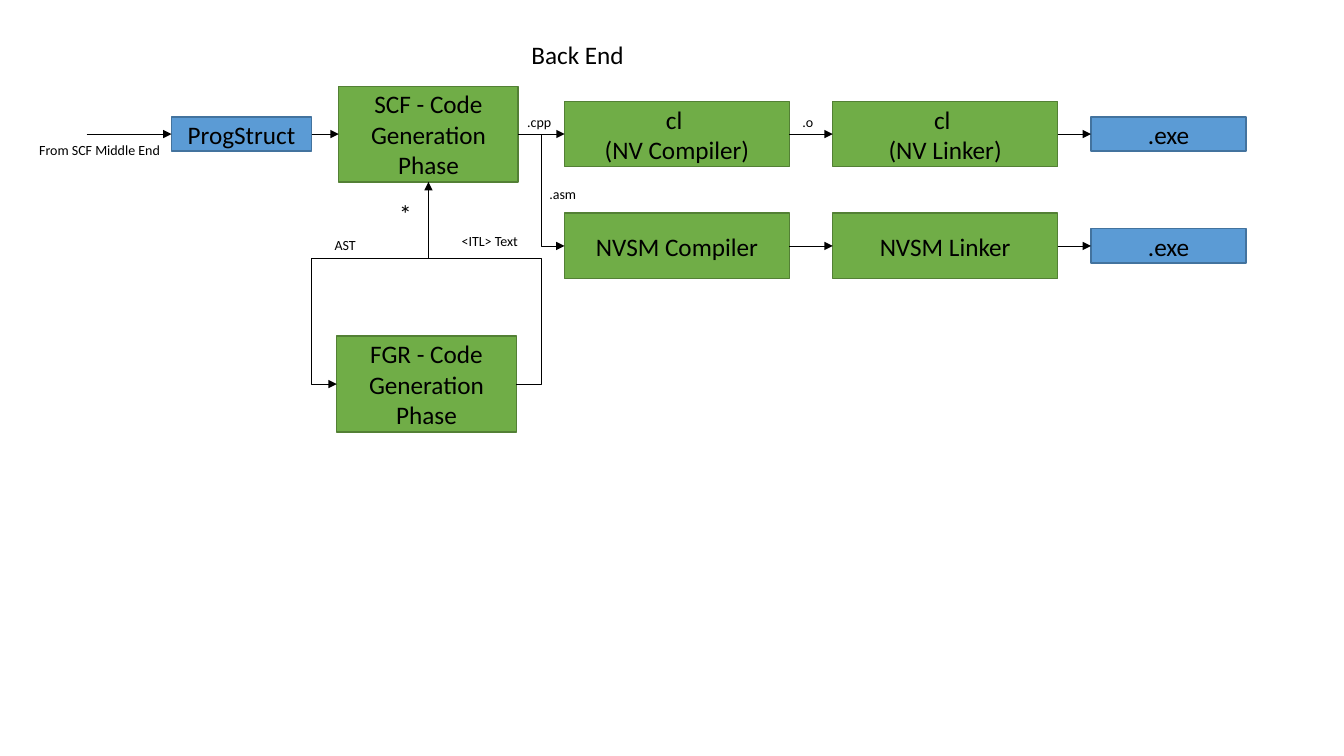
from dataclasses import dataclass
from pptx import Presentation, util as u
from pptx.dml.color import RGBColor
from pptx.enum import shapes, text
from pptx.oxml.ns import qn
from lxml import etree

TOP, LEFT, BOTTOM, RIGHT = range(4)


@dataclass(frozen=True)
class Theme:
    """Colours, type and line sizes of the slide."""
    font: str = "Calibri"
    ink: str = "000000"
    data: tuple = ("5B9BD5", "43739E")
    phase: tuple = ("70AD47", "538035")
    big: int = 18
    small: int = 10
    edge: float = 1
    wire: float = 0.5


THEME = Theme()


def apply(obj, vals):
    """Set the attributes of an object from a dict."""
    for name, val in vals.items():
        setattr(obj, name, val)


def write(shape, words, size, align, anchor, wrap):
    """Fill a shape with one formatted paragraph."""
    frame = shape.text_frame
    frame.text = words
    apply(frame, {"word_wrap": wrap, "vertical_anchor": anchor,
                  "auto_size": text.MSO_AUTO_SIZE.NONE})
    para = frame.paragraphs[0]
    apply(para, {"alignment": align, "line_spacing": 1.0, "space_before": u.Pt(0)})
    for run in para.runs:
        apply(run.font, {"name": THEME.font, "size": u.Pt(size)})
        run.font.color.rgb = RGBColor.from_string(THEME.ink)


def node(slide, words, left, mid, wide, high, tone):
    """Draw a labelled box centred on the height mid."""
    box = slide.shapes.add_shape(shapes.MSO_SHAPE.RECTANGLE,
                                 *map(u.Inches, (left, mid - high / 2, wide, high)))
    box.shadow.inherit = False
    box.fill.solid()
    box.fill.fore_color.rgb = RGBColor.from_string(tone[0])
    box.line.color.rgb = RGBColor.from_string(tone[1])
    box.line.width = u.Pt(THEME.edge)
    write(box, words, THEME.big, text.PP_ALIGN.CENTER, text.MSO_ANCHOR.MIDDLE, True)
    return box


def label(slide, words, left, top, wide, high=0.27, size=THEME.small):
    """Place a free line of text."""
    box = slide.shapes.add_textbox(*map(u.Inches, (left, top, wide, high)))
    write(box, words, size, text.PP_ALIGN.LEFT, text.MSO_ANCHOR.TOP, False)


def arrow(slide, start, end, kind=shapes.MSO_CONNECTOR.STRAIGHT):
    """Join two (shape, site) pairs with an arrow."""
    line = slide.shapes.add_connector(kind, 0, 0, 0, 0)
    line.begin_connect(*start)
    line.end_connect(*end)
    return ink(line)


def ink(line):
    """Give a connector its colour, width and arrowhead."""
    line.line.color.rgb = RGBColor.from_string(THEME.ink)
    line.line.width = u.Pt(THEME.wire)
    etree.SubElement(line.line._get_or_add_ln(), qn("a:tailEnd"), type="triangle")
    etree.SubElement(line._element.spPr, qn("a:effectLst"))
    return line


def bend(line, first, second, turn=False):
    """Route a connector through three bends, turned a quarter if asked."""
    props = line._element.spPr
    geom = props.find(qn("a:prstGeom"))
    geom.set("prst", "bentConnector4")
    guides = geom.find(qn("a:avLst"))
    for name, part in (("adj1", first), ("adj2", second)):
        etree.SubElement(guides, qn("a:gd"), name=name, fmla=f"val {round(part * 100000)}")
    if turn:
        wide, high = line.width, line.height
        apply(line, {"left": line.left + (wide - high) // 2,
                     "top": line.top + (high - wide) // 2,
                     "width": high, "height": wide})
        frame = props.find(qn("a:xfrm"))
        for flip in ("flipH", "flipV"):
            frame.attrib.pop(flip, None)
        frame.set("rot", "5400000")


def title(slide, left, top, wide, high):
    """Place the heading in the title placeholder."""
    head = slide.shapes.title
    apply(head, dict(zip(("left", "top", "width", "height"),
                         map(u.Inches, (left, top, wide, high)))))
    write(head, "Back End", THEME.big, text.PP_ALIGN.LEFT, text.MSO_ANCHOR.TOP, False)


def source(slide, left, mid):
    """Draw the incoming arrow and the program data."""
    prog = node(slide, "ProgStruct", left + 1.41, mid, 1.39, 0.34, THEME.data)
    line = slide.shapes.add_connector(shapes.MSO_CONNECTOR.STRAIGHT,
                                      *map(u.Inches, (left + 0.57, mid, left + 1.41, mid)))
    line.end_connect(prog, LEFT)
    ink(line)
    label(slide, "From SCF Middle End", left, mid + 0.02, 1.42)
    return prog


def phases(slide, left, mid):
    """Draw the two generation phases and the loop between them."""
    size = (1.78, 0.95)
    scf = node(slide, "SCF - Code Generation Phase", left + 0.02, mid, *size, THEME.phase)
    fgr = node(slide, "FGR - Code Generation Phase", left, mid + 2.48, *size, THEME.phase)
    elbow = shapes.MSO_CONNECTOR.ELBOW
    bend(arrow(slide, (scf, BOTTOM), (fgr, LEFT), elbow), 0.38, 1.28, True)
    bend(arrow(slide, (fgr, RIGHT), (scf, BOTTOM), elbow), -0.29, 0.62)
    label(slide, "*", left + 0.52, mid + 0.59, 0.33, 0.4, THEME.big)
    label(slide, "AST", left - 0.12, mid + 0.97, 0.42)
    label(slide, "<ITL> Text", left + 1.14, mid + 0.93, 0.78)
    return scf


def chain(slide, left, mid, names):
    """Draw one row from compiler to linker to program."""
    row = [node(slide, name, left + step * 2.66, mid, 2.23, 0.65, THEME.phase)
           for step, name in enumerate(names)]
    row.append(node(slide, ".exe", left + 5.22, mid, 1.54, 0.34, THEME.data))
    for here, there in zip(row, row[1:]):
        arrow(slide, (here, RIGHT), (there, LEFT))
    return row[0]


def build():
    """Assemble and save the slide."""
    deck = Presentation()
    apply(deck, {"slide_width": u.Inches(13.33), "slide_height": u.Inches(7.5)})
    slide = deck.slides.add_slide(deck.slide_layouts[5])
    title(slide, 5.17, 0.34, 1.13, 0.4)
    mid, gap, left = 1.33, 1.11, 5.6
    prog = source(slide, 0.29, mid)
    scf = phases(slide, 3.34, mid)
    cpp = chain(slide, left, mid, ("cl \v(NV Compiler)", "cl \v(NV Linker)"))
    asm = chain(slide, left, mid + gap, ("NVSM Compiler", "NVSM Linker"))
    arrow(slide, (prog, RIGHT), (scf, LEFT))
    arrow(slide, (scf, RIGHT), (cpp, LEFT))
    arrow(slide, (scf, RIGHT), (asm, LEFT), shapes.MSO_CONNECTOR.ELBOW)
    for words, spot, top, wide in ((".cpp", 5.13, 1.08, 0.44), (".o", 7.86, 1.08, 0.31),
                                   (".asm", 5.35, 1.79, 0.47)):
        label(slide, words, spot, top, wide)
    deck.save("out.pptx")


build()
